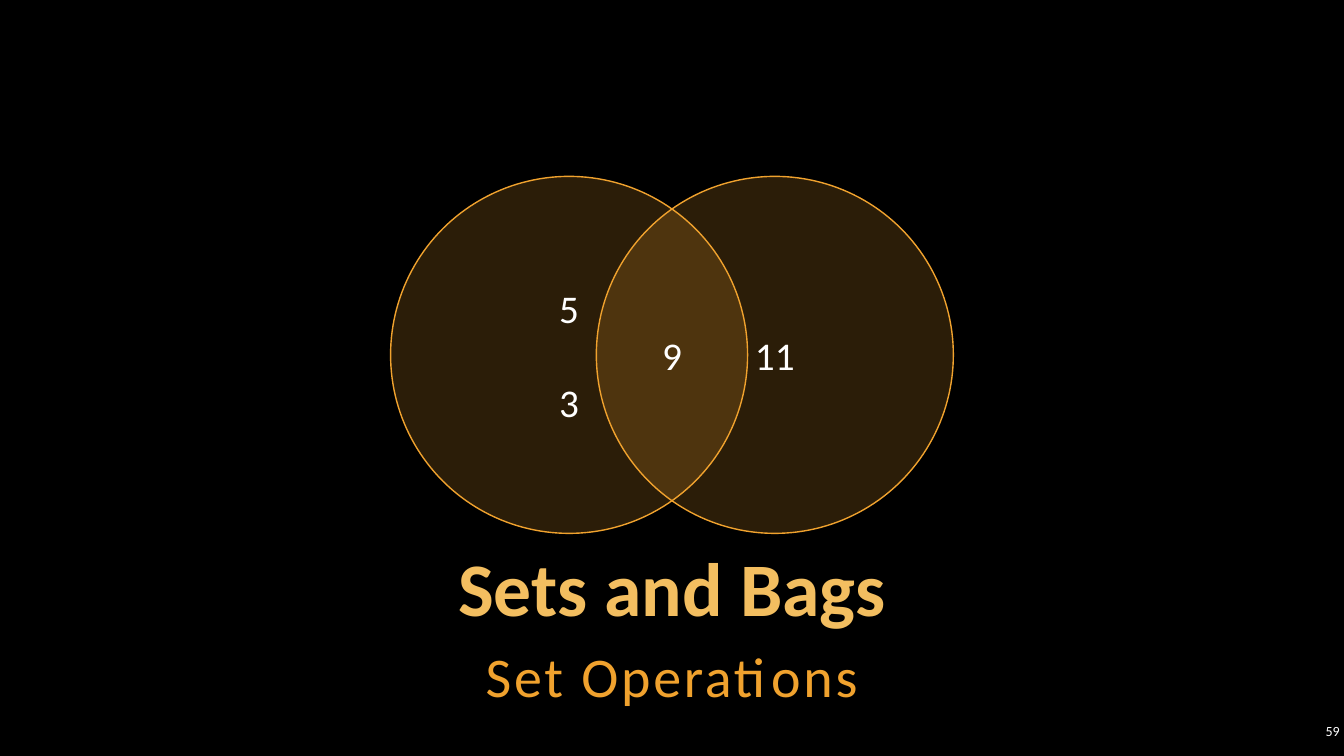
from lxml import etree
from pptx import Presentation
from pptx.dml.color import RGBColor
from pptx.enum import shapes, text
from pptx.oxml import ns
from pptx.util import Pt

WIDTH, HEIGHT = 960, 540
ORANGE, LIGHT_ORANGE, WHITE, BLACK = "F0A22E", "F3BE60", "FFFFFF", "000000"
ALIGN, ANCHOR = text.PP_ALIGN, text.MSO_ANCHOR


def color(hex_string):
    return RGBColor.from_string(hex_string)


def write(shape, lines, size, hex_color=WHITE, bold=False, align=ALIGN.CENTER,
          anchor=ANCHOR.MIDDLE, margin=None, line_spacing=None, tracking=0):
    """Fill a shape with (string, left indent) lines."""
    frame = shape.text_frame
    frame.word_wrap = True
    frame.vertical_anchor = anchor
    if margin is not None:
        frame.margin_left = frame.margin_right = Pt(margin)
        frame.margin_top = frame.margin_bottom = Pt(margin)
    for index, (string, indent) in enumerate(lines):
        paragraph = frame.add_paragraph() if index else frame.paragraphs[0]
        paragraph.alignment = align
        if line_spacing:
            paragraph.line_spacing = line_spacing
        if indent:
            paragraph._p.get_or_add_pPr().set("marL", str(Pt(indent)))
        run = paragraph.add_run()
        run.text = string
        run.font.name = "Calibri"
        run.font.size = Pt(size)
        run.font.bold = bold
        run.font.color.rgb = color(hex_color)
        if tracking:
            run._r.get_or_add_rPr().set("spc", str(tracking * 100))


def add_label(slide, box, string, size, **formatting):
    shape = slide.shapes.add_textbox(*map(Pt, box))
    write(shape, [(string, 0)], size, margin=3, **formatting)


def add_set(slide, left, top, diameter, lines):
    circle = slide.shapes.add_shape(
        shapes.MSO_SHAPE.OVAL, Pt(left), Pt(top), Pt(diameter), Pt(diameter))
    circle.shadow.inherit = False
    circle.fill.solid()
    circle.fill.fore_color.rgb = color(ORANGE)
    fill_color = circle._element.spPr.find(ns.qn("a:solidFill"))[0]
    etree.SubElement(fill_color, ns.qn("a:alpha"), val="18000")
    circle.line.color.rgb = color(ORANGE)
    circle.line.width = Pt(1)
    write(circle, lines, 28)


def add_venn(slide, left, top, width, diameter):
    offset = width - diameter
    add_set(slide, left + offset, top, diameter, [("11", 0)])
    # An indent of one offset centres the shared member in the overlap
    add_set(slide, left, top, diameter, [("5", 0), ("9", offset), ("3", 0)])


def add_headings(slide, left, top, width):
    add_label(slide, (left, top, width, 65), "Sets and Bags", 54, bold=True,
              hex_color=LIGHT_ORANGE, anchor=ANCHOR.BOTTOM, line_spacing=0.9)
    add_label(slide, (left, top + 63, width, 57), "Set Operations", 40,
              hex_color=ORANGE, anchor=ANCHOR.TOP, line_spacing=1.05, tracking=2)


def main():
    presentation = Presentation()
    presentation.slide_width, presentation.slide_height = Pt(WIDTH), Pt(HEIGHT)
    slide = presentation.slides.add_slide(presentation.slide_layouts[6])
    slide.background.fill.solid()
    slide.background.fill.fore_color.rgb = color(BLACK)

    # Title and subtitle
    add_headings(slide, 72, 390, WIDTH - 2 * 72)
    # Slide number
    add_label(slide, (WIDTH - 34, 514, 34, 16), "59", 10, align=ALIGN.RIGHT)
    # Two overlapping sets, centred on the slide
    venn_width = 402
    add_venn(slide, (WIDTH - venn_width) / 2, 126, venn_width, 255)

    presentation.save("out.pptx")


if __name__ == "__main__":
    main()
